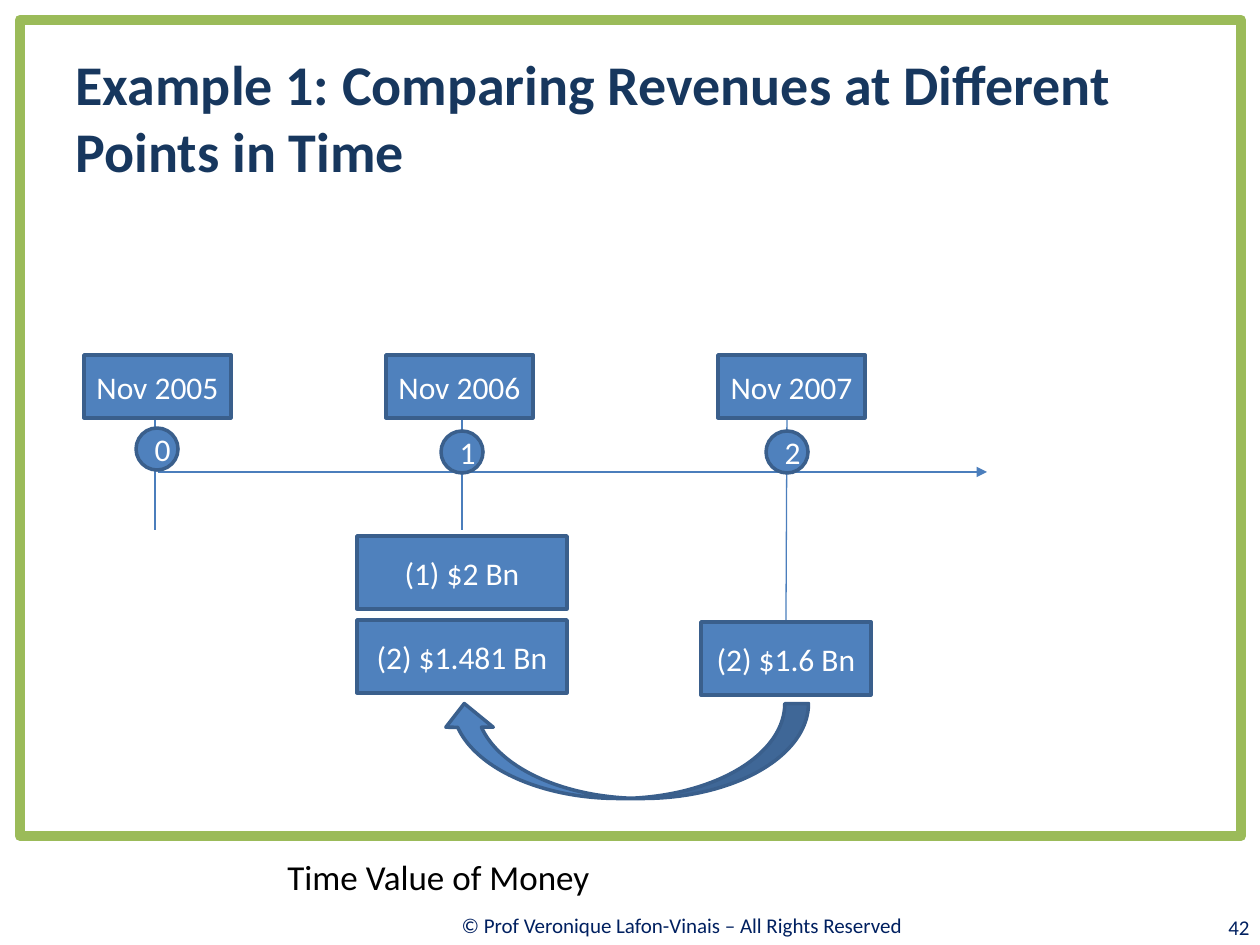
import pptx
import pptx.util
import pptx.dml.color
import pptx.enum.shapes
import pptx.enum.text
from lxml import etree

SHAPE = pptx.enum.shapes.MSO_SHAPE
ALIGN = pptx.enum.text.PP_ALIGN
MIDDLE = pptx.enum.text.MSO_ANCHOR.MIDDLE
A = "http://schemas.openxmlformats.org/drawingml/2006/main"

THEME = {
    "font": "Calibri",
    "title": {"size": 32, "color": "17375E", "bold": True},
    "topic": {"size": 20, "color": "000000"},
    "footer": {"size": 12, "color": "002060"},
    "label": {"size": 18, "color": "FFFFFF"},
    "fill": "4F81BD", "outline": "3A5F8C", "outline_pt": 2,
    "axis": "4B7EBC", "axis_pt": 0.75,
    "frame": "9BBB59", "frame_pt": 6,
}

# Lengths are px, 126 to the inch
TITLE = ("Example 1: Comparing Revenues at Different Points in Time", (63, 38, 1134, 157))
TEXTS = [  # text, box, style, alignment
    ("© Prof Veronique Lafon-Vinais – All Rights Reserved", (276, 901, 812, 49), "footer", ALIGN.CENTER),
    ("42", (1135, 907, 127, 40), "footer", ALIGN.RIGHT),
    ("Time Value of Money", (275, 847, 985, 59), "topic", ALIGN.LEFT),
]
FRAME = (20, 20, 1221, 816)
AXIS = (158, 472, 987, 472)
PERIODS = [  # date, date left, period, circle left and top, tick x at top and bottom, tick end
    ("Nov 2005", 84, "0", (136, 428), (155, 155), 530),
    ("Nov 2006", 386, "1", (441, 431), (462, 462), 530),
    ("Nov 2007", 718, "2", (766, 431), (787, 786), 622),
]
DATE_TOP, DATE_SIZE, CIRCLE_SIZE, TICK_TOP = 355, (147, 63), (42, 42), 415
AMOUNTS = [  # text, left, top, width
    ("(1) $2 Bn", 357, 536, 210),
    ("(2) $1.481 Bn", 357, 620, 210),
    ("(2) $1.6 Bn", 701, 622, 170),
]
AMOUNT_HEIGHT = 73
DISCOUNT_ARROW = (577, 567, 95, 368)


def px(*values):
    return [round(v * 914400 / 126) for v in values]


def rgb(name):
    return pptx.dml.color.RGBColor.from_string(THEME[name])


def write(s, text, style, align, wrap=True):
    tf = s.text_frame
    for name, value in {"word_wrap": wrap, "vertical_anchor": MIDDLE}.items():
        setattr(tf, name, value)
    p = tf.paragraphs[0]
    p.alignment = align
    r = p.add_run()
    r.text = text
    look = THEME[style]
    formats = {"name": THEME["font"], "size": pptx.util.Pt(look["size"]), "bold": look.get("bold", False)}
    for name, value in formats.items():
        setattr(r.font, name, value)
    r.font.color.rgb = pptx.dml.color.RGBColor.from_string(look["color"])


def add_shape(slide, kind, box, text=None, wrap=True, fill="fill", line="outline"):
    s = slide.shapes.add_shape(kind, *px(*box))
    s.shadow.inherit = False
    if fill:
        s.fill.solid()
        s.fill.fore_color.rgb = rgb(fill)
    else:
        s.fill.background()
    s.line.color.rgb = rgb(line)
    s.line.width = pptx.util.Pt(THEME[line + "_pt"])
    if text:
        write(s, text, "label", ALIGN.CENTER, wrap)
    return s


def add_line(slide, ends, arrow=False):
    s = slide.shapes.add_connector(pptx.enum.shapes.MSO_CONNECTOR.STRAIGHT, *px(*ends))
    s.line.color.rgb = rgb("axis")
    s.line.width = pptx.util.Pt(THEME["axis_pt"])
    if arrow:
        etree.SubElement(s.line._get_or_add_ln(), f"{{{A}}}tailEnd", type="triangle")
    etree.SubElement(s._element.spPr, f"{{{A}}}effectLst")


def main():
    prs = pptx.Presentation()
    prs.slide_width, prs.slide_height = px(1260, 945)
    slide = prs.slides.add_slide(prs.slide_layouts[5])

    add_shape(slide, SHAPE.RECTANGLE, FRAME, fill=None, line="frame")
    text, box = TITLE
    title = slide.shapes.title
    for name, value in zip(("left", "top", "width", "height"), px(*box)):
        setattr(title, name, value)
    write(title, text, "title", ALIGN.LEFT)
    for text, box, style, align in TEXTS:
        write(slide.shapes.add_textbox(*px(*box)), text, style, align)

    add_line(slide, AXIS, arrow=True)
    for date, left, period, corner, (x1, x2), end in PERIODS:
        add_line(slide, (x1, TICK_TOP, x2, end))
        add_shape(slide, SHAPE.RECTANGLE, (left, DATE_TOP, *DATE_SIZE), date, wrap=False)
        add_shape(slide, SHAPE.OVAL, (*corner, *CIRCLE_SIZE), period)
    for text, left, top, width in AMOUNTS:
        add_shape(slide, SHAPE.RECTANGLE, (left, top, width, AMOUNT_HEIGHT), text, wrap=False)
    add_shape(slide, SHAPE.CURVED_LEFT_ARROW, DISCOUNT_ARROW).rotation = 90

    prs.save("out.pptx")


if __name__ == "__main__":
    main()
